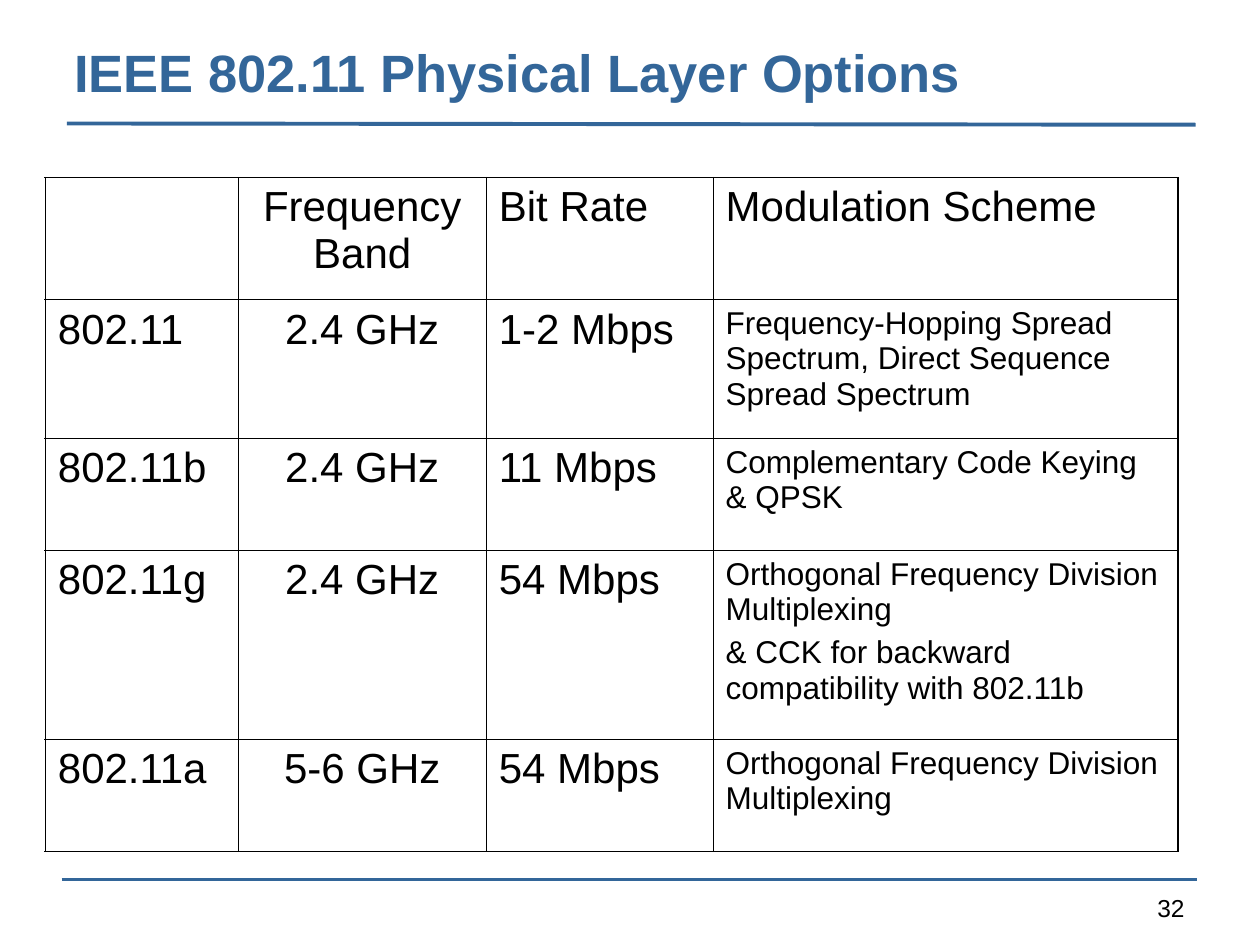
from lxml.etree import SubElement as Sub
from pptx import Presentation
from pptx.dml.color import RGBColor as Color
from pptx.enum.shapes import MSO_CONNECTOR as Link
from pptx.enum.text import MSO_ANCHOR as Anchor, PP_ALIGN as Align
from pptx.oxml.ns import qn
from pptx.util import Inches, Pt

COLORS = {"blue": "336699", "black": "000000"}
FONT = "Arial"
THIN, THICK = 0.45, 1.08
WIDTHS = [1.53, 1.97, 1.8, 3.69]
HEIGHTS = [0.97, 1.1, 0.89, 1.5, 0.89]
ROWS = [
    ["", "Frequency Band", "Bit Rate", "Modulation Scheme"],
    ["802.11", "2.4 GHz", "1-2 Mbps",
     "Frequency-Hopping Spread Spectrum, Direct Sequence Spread Spectrum"],
    ["802.11b", "2.4 GHz", "11 Mbps", "Complementary Code Keying & QPSK"],
    ["802.11g", "2.4 GHz", "54 Mbps",
     "Orthogonal Frequency Division Multiplexing\n"
     "& CCK for backward compatibility with 802.11b"],
    ["802.11a", "5-6 GHz", "54 Mbps",
     "Orthogonal Frequency Division Multiplexing"],
]


def add_run(para, text, size, color="black", bold=False):
    run = para.add_run()
    run.text = text
    font = run.font
    font.name, font.size, font.bold = FONT, Pt(size), bold
    font.color.rgb = Color.from_string(COLORS[color])


def add_text(slide, place, text, size, color="black", bold=False,
             align=Align.LEFT, anchor=Anchor.TOP):
    frame = slide.shapes.add_textbox(*map(Inches, place)).text_frame
    frame.word_wrap = True
    frame.vertical_anchor = anchor
    para = frame.paragraphs[0]
    para.alignment = align
    add_run(para, text, size, color, bold)


def add_rule(slide, ends, width):
    rule = slide.shapes.add_connector(Link.STRAIGHT, *map(Inches, ends))
    rule.line.color.rgb = Color.from_string(COLORS["blue"])
    rule.line.width = Pt(width)
    Sub(rule._element.spPr, qn("a:effectLst"))


def set_edge(cell, side, width):
    props = cell._tc.get_or_add_tcPr()
    edge = Sub(props, qn(f"a:ln{side}"), w=str(int(Pt(width))))
    fill = Sub(edge, qn("a:solidFill"))
    Sub(fill, qn("a:srgbClr"), val=COLORS["black"])


def fill_cell(cell, text, row, col):
    last_row, last_col = len(ROWS) - 1, len(WIDTHS) - 1
    outer = {"L": col == 0, "R": col == last_col,
             "T": row == 0, "B": row == last_row}
    for side, thick in outer.items():
        set_edge(cell, side, THICK if thick else THIN)
    cell.fill.background()
    if not text:
        return
    size = 18 if row and col == last_col else 24
    frame = cell.text_frame
    for num, part in enumerate(text.split("\n")):
        para = frame.add_paragraph() if num else frame.paragraphs[0]
        para.alignment = Align.CENTER if col == 1 else Align.LEFT
        if num:
            para.space_before = Pt(size / 4)
        add_run(para, part, size)


def add_grid(slide, left, top):
    place = map(Inches, (left, top, sum(WIDTHS), sum(HEIGHTS)))
    table = slide.shapes.add_table(len(ROWS), len(WIDTHS), *place).table
    table.first_row = table.horz_banding = False
    for col, width in zip(table.columns, WIDTHS):
        col.width = Inches(width)
    for row, height in zip(table.rows, HEIGHTS):
        row.height = Inches(height)
    for row, texts in enumerate(ROWS):
        for col, text in enumerate(texts):
            fill_cell(table.cell(row, col), text, row, col)


def main():
    deck = Presentation()
    deck.slide_width, deck.slide_height = Inches(10), Inches(7.5)
    slide = deck.slides.add_slide(deck.slide_layouts[6])
    add_rule(slide, (0.53, 0.98, 9.49, 0.99), 2.25)
    add_rule(slide, (0.49, 6.98, 9.5, 6.98), 1.5)
    add_text(slide, (7.17, 7.04, 2.33, 0.29), "32", 14, align=Align.RIGHT)
    add_text(slide, (0.49, 0.19, 9.02, 0.68),
             "IEEE 802.11 Physical Layer Options", 30, "blue", True,
             anchor=Anchor.BOTTOM)
    add_grid(slide, 0.36, 1.41)
    deck.save("out.pptx")


if __name__ == "__main__":
    main()
